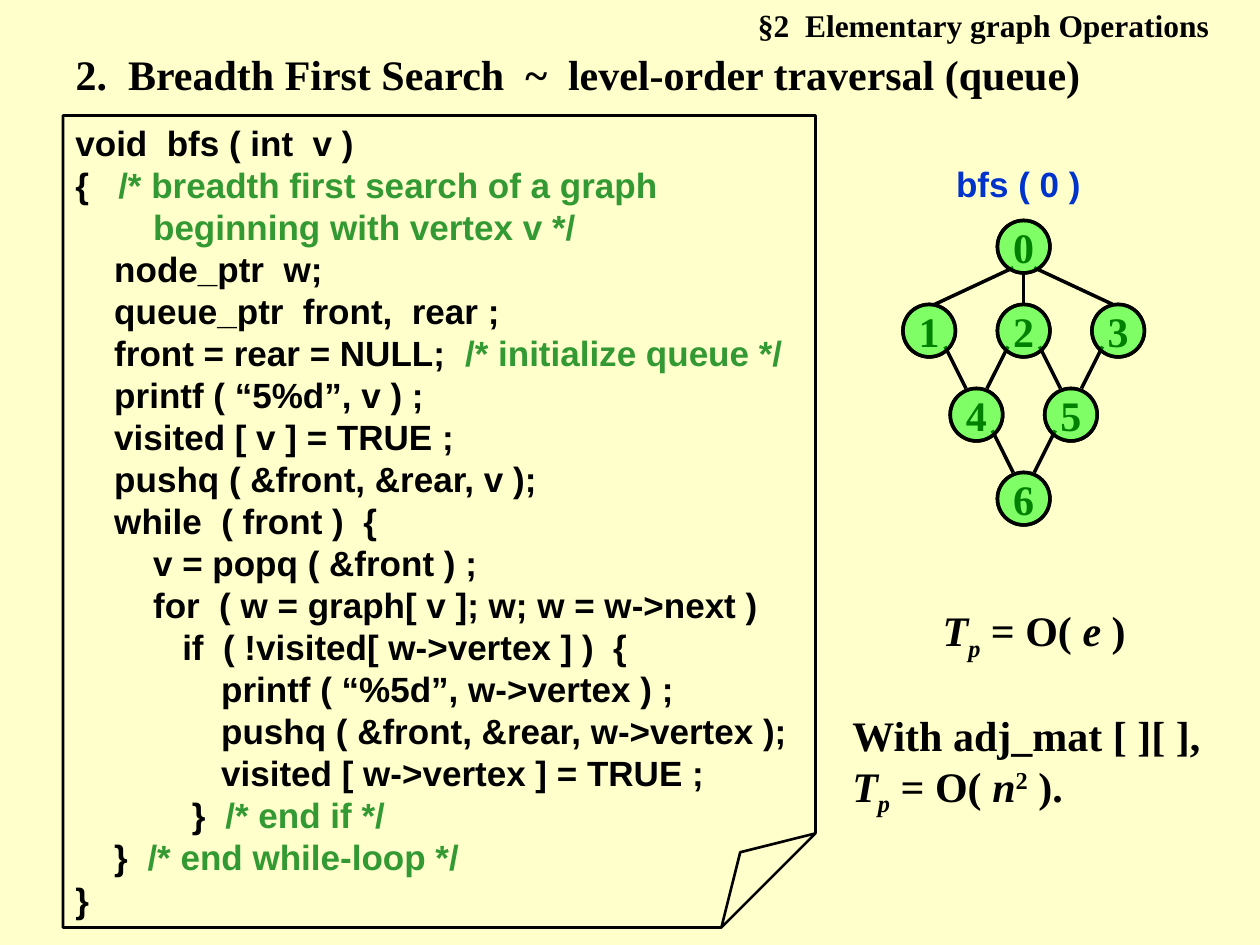
from pptx import Presentation
from pptx.dml.color import RGBColor
from pptx.enum.shapes import MSO_CONNECTOR, MSO_SHAPE
from pptx.enum.text import MSO_ANCHOR, MSO_AUTO_SIZE, PP_ALIGN
from pptx.oxml.ns import qn
from pptx.util import Pt
from lxml import etree

STRAIGHT = MSO_CONNECTOR.STRAIGHT
OVAL, FOLDED = MSO_SHAPE.OVAL, MSO_SHAPE.FOLDED_CORNER
TOP, MIDDLE = MSO_ANCHOR.TOP, MSO_ANCHOR.MIDDLE
LEFT, CENTER = PP_ALIGN.LEFT, PP_ALIGN.CENTER
NO_AUTOSIZE = MSO_AUTO_SIZE.NONE

CREAM = RGBColor(0xFF, 0xFF, 0xCC)
BLACK = RGBColor(0, 0, 0)
COMMENT_GREEN = RGBColor(0x33, 0x99, 0x33)
VISITED_GREEN = RGBColor(0, 0xFF, 0)
CALL_BLUE = RGBColor(0, 0x33, 0xCC)
SERIF, SANS = "Times New Roman", "Arial"

# Each line: code, comment
CODE = [
    ("void  bfs ( int  v )", ""),
    ("{   ", "/* breadth first search of a graph"),
    ("", "        beginning with vertex v */"),
    ("    node_ptr  w;", ""),
    ("    queue_ptr  front,  rear ;", ""),
    ("    front = rear = NULL;  ", "/* initialize queue */"),
    ("    printf ( “5%d”, v ) ;", ""),
    ("    visited [ v ] = TRUE ;", ""),
    ("    pushq ( &front, &rear, v );", ""),
    ("    while  ( front )  {", ""),
    ("        v = popq ( &front ) ;", ""),
    ("        for  ( w = graph[ v ]; w; w = w->next )", ""),
    ("           if  ( !visited[ w->vertex ] )  {", ""),
    ("               printf ( “%5d”, w->vertex ) ;", ""),
    ("               pushq ( &front, &rear, w->vertex );", ""),
    ("               visited [ w->vertex ] = TRUE ;", ""),
    ("            }  ", "/* end if */"),
    ("    }  ", "/* end while-loop */"),
    ("}", ""),
]

# Vertices as (column, row) on a half-step grid; edges run downwards
VERTICES = [(0, 0), (-2, 1), (0, 1), (2, 1), (-1, 2), (1, 2), (0, 3)]
EDGES = [(0, 1), (0, 2), (0, 3), (1, 4), (2, 4), (2, 5), (3, 5), (4, 6), (5, 6)]
GRAPH_CENTER, GRAPH_TOP = 585, 126
COLUMN_STEP, ROW_STEP, DIAMETER = 27, 48, 30


def add_run(paragraph, text, size, face=SERIF, color=BLACK, italic=False, baseline=0):
    run = paragraph.add_run()
    run.text = text
    font = run.font
    font.size, font.name = Pt(size), face
    font.bold, font.italic = True, italic
    font.color.rgb = color
    if baseline:
        run._r.get_or_add_rPr().set("baseline", str(baseline * 1000))


def format_frame(frame, align=LEFT, anchor=TOP, wrap=True):
    frame.auto_size = NO_AUTOSIZE
    frame.word_wrap = wrap
    frame.vertical_anchor = anchor
    paragraph = frame.paragraphs[0]
    paragraph.alignment = align
    return paragraph


def add_text(slide, box, **layout):
    frame = slide.shapes.add_textbox(*map(Pt, box)).text_frame
    return format_frame(frame, **layout)


def add_outline(slide, kind, box, width):
    shape = slide.shapes.add_shape(kind, *map(Pt, box))
    shape.shadow.inherit = False
    shape.fill.background()
    shape.line.color.rgb = BLACK
    shape.line.width = Pt(width)
    return shape


def add_edge(slide, x1, y1, x2, y2):
    edge = slide.shapes.add_connector(STRAIGHT, Pt(x1), Pt(y1), Pt(x2), Pt(y2))
    edge.line.color.rgb = BLACK
    edge.line.width = Pt(2)
    etree.SubElement(edge._element.spPr, qn("a:effectLst"))


def add_vertex(slide, x, y):
    return add_outline(slide, OVAL, (x - DIAMETER / 2, y, DIAMETER, DIAMETER), 2)


def add_title(slide, text):
    title = slide.shapes.title
    title.left, title.top, title.width, title.height = map(Pt, (36, 24, 648, 36))
    add_run(format_frame(title.text_frame), text, 24)


def add_code(slide):
    listing = slide.shapes.add_textbox(*map(Pt, (36, 66, 444, 464))).text_frame
    paragraph = format_frame(listing)
    for number, (code, comment) in enumerate(CODE):
        if number:
            paragraph = listing.add_paragraph()
        for text, color in ((code, BLACK), (comment, COMMENT_GREEN)):
            if text:
                add_run(paragraph, text, 20, SANS, color)

    # Page with a folded corner of one eighth
    page = add_outline(slide, FOLDED, (36, 66, 430, 464), 1.5)
    adjustments = page._element.spPr.find(qn("a:prstGeom")).get_or_add_avLst()
    etree.SubElement(adjustments, qn("a:gd"), name="adj", fmla="val 12500")


def add_graph(slide):
    spots = [(GRAPH_CENTER + column * COLUMN_STEP, GRAPH_TOP + row * ROW_STEP)
             for column, row in VERTICES]
    for number, (x, y) in enumerate(spots):
        vertex = add_vertex(slide, x, y)
        label = format_frame(vertex.text_frame, CENTER, MIDDLE, wrap=False)
        add_run(label, str(number), 24)

    for start, end in EDGES:
        (x1, y1), (x2, y2) = spots[start], spots[end]
        side = (x2 > x1) - (x2 < x1)
        if start == 0:
            out, drop, into = 6, (27 if side else DIAMETER), 3
        else:
            out, drop, into = 9, 24, 6
        add_edge(slide, x1 + side * out, y1 + drop, x2 - side * into, y2)

    # Translucent tint marks every vertex as visited
    for x, y in spots:
        tint = add_vertex(slide, x, y)
        tint.fill.solid()
        tint.fill.fore_color.rgb = VISITED_GREEN
        color = tint._element.spPr.find(qn("a:solidFill"))[0]
        etree.SubElement(color, qn("a:alpha")).set("val", "50000")


def add_time_bound(paragraph):
    add_run(paragraph, "T", 24, italic=True)
    add_run(paragraph, "p", 24, italic=True, baseline=-25)
    add_run(paragraph, " = O( ", 24)


def main():
    prs = Presentation()
    prs.slide_width, prs.slide_height = Pt(720), Pt(540)
    slide = prs.slides.add_slide(prs.slide_layouts[5])
    slide.background.fill.solid()
    slide.background.fill.fore_color.rgb = CREAM

    # Section header and title
    section = add_text(slide, (426, 0, 294, 29))
    add_run(section, "§2  Elementary graph Operations", 18)
    add_title(slide, "2.  Breadth First Search  ~  level-order traversal (queue)")

    add_code(slide)
    add_graph(slide)

    # Call shown above the graph
    call = add_text(slide, (540, 90, 84, 30), align=CENTER, anchor=MIDDLE, wrap=False)
    add_run(call, "bfs ( 0 )", 20, SANS, CALL_BLUE)

    # Running times
    list_time = add_text(slide, (486, 342, 210, 40), align=CENTER)
    add_time_bound(list_time)
    add_run(list_time, "e", 24, italic=True)
    add_run(list_time, " )", 24)

    matrix_time = add_text(slide, (480, 402, 222, 69))
    add_run(matrix_time, "With adj_mat [ ][ ], ", 24)
    add_time_bound(matrix_time)
    add_run(matrix_time, "n", 24, italic=True)
    add_run(matrix_time, "2", 24, baseline=30)
    add_run(matrix_time, " ).", 24)

    prs.save("out.pptx")


if __name__ == "__main__":
    main()
